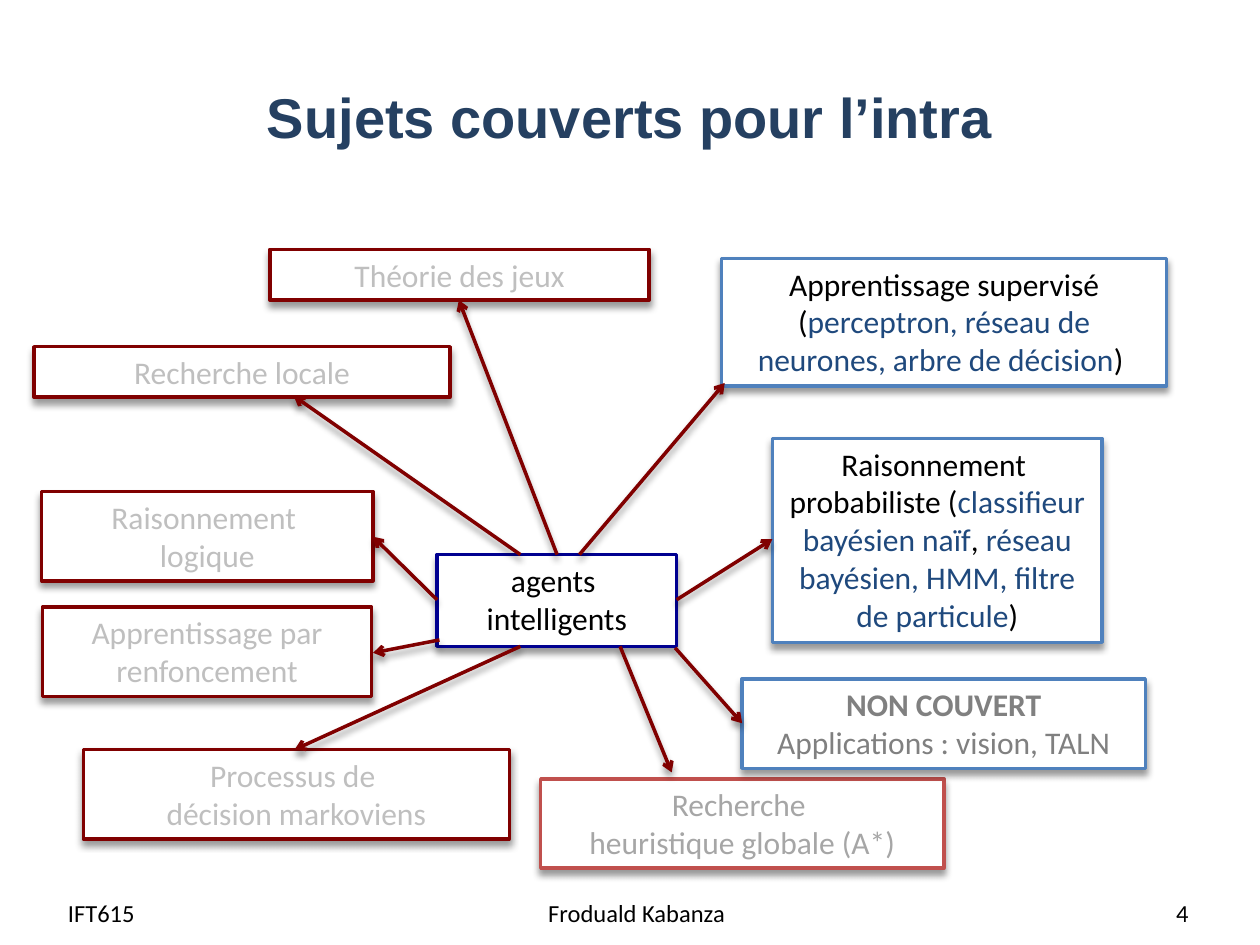
from dataclasses import dataclass

from lxml import etree
from pptx import Presentation
from pptx.dml.color import RGBColor
from pptx.enum.shapes import MSO_CONNECTOR, MSO_SHAPE
from pptx.enum.text import MSO_ANCHOR, MSO_AUTO_SIZE, PP_ALIGN
from pptx.oxml import parse_xml
from pptx.oxml.ns import nsdecls, qn
from pptx.util import Cm, Pt

RECTANGLE = MSO_SHAPE.RECTANGLE
STRAIGHT = MSO_CONNECTOR.STRAIGHT
MIDDLE = MSO_ANCHOR.MIDDLE
FIT_SHAPE = MSO_AUTO_SIZE.SHAPE_TO_FIT_TEXT
LEFT, CENTER, RIGHT = PP_ALIGN.LEFT, PP_ALIGN.CENTER, PP_ALIGN.RIGHT

WHITE = RGBColor(0xFF, 0xFF, 0xFF)
BLACK = RGBColor(0x00, 0x00, 0x00)
TITLE_BLUE = RGBColor(0x25, 0x40, 0x61)
DETAIL_BLUE = RGBColor(0x1F, 0x49, 0x7D)
NAVY = RGBColor(0x00, 0x00, 0x90)
BLUE = RGBColor(0x4F, 0x81, 0xBD)
RED = RGBColor(0xC0, 0x50, 0x4D)
MAROON = RGBColor(0x80, 0x00, 0x00)
LIGHT_GRAY = RGBColor(0xBF, 0xBF, 0xBF)
GRAY = RGBColor(0xA6, 0xA6, 0xA6)
DARK_GRAY = RGBColor(0x80, 0x80, 0x80)

LINE_WIDTH = Pt(2)
SHADOW_XML = (
    f'<a:effectLst {nsdecls("a")}><a:outerShdw blurRad="{Pt(4)}" dist="{Pt(3)}" '
    'dir="5400000" rotWithShape="0"><a:srgbClr val="000000">'
    '<a:alpha val="40000"/></a:srgbClr></a:outerShdw></a:effectLst>'
)


@dataclass(frozen=True)
class Span:
    text: str
    color: RGBColor
    bold: bool = False


@dataclass(frozen=True)
class Label:
    """A one-line text without frame; lengths in centimetres."""
    text: str
    left: float
    top: float
    width: float
    height: float
    align: PP_ALIGN
    size: int = 14
    font: str = "Calibri"
    color: RGBColor = BLACK
    bold: bool = False


@dataclass(frozen=True)
class Topic:
    """A framed subject: each line is one paragraph of spans."""
    left: float
    top: float
    width: float
    height: float
    border: RGBColor
    lines: list[list[Span]]


@dataclass(frozen=True)
class Arrow:
    start: tuple[float, float]
    end: tuple[float, float]


def plain(color: RGBColor, *texts: str) -> list[list[Span]]:
    """One single-colour paragraph per text."""
    return [[Span(text, color)] for text in texts]


LABELS = [
    Label("Sujets couverts pour l’intra", 1.27, 0.76, 22.86, 3.18, CENTER,
          32, "Arial", TITLE_BLUE, True),
    Label("IFT615", 1.12, 17.88, 4.9, 1.02, LEFT),
    Label("Froduald Kabanza", 8.81, 17.88, 8.05, 1.02, CENTER),
    Label("4", 18.29, 17.88, 5.92, 1.02, RIGHT),
]

TOPICS = [
    Topic(8.81, 11.18, 4.83, 1.85, NAVY, plain(BLACK, "agents ", "intelligents")),
    Topic(10.9, 15.7, 8.13, 1.8, RED,
          plain(GRAY, "Recherche ", "heuristique globale (A*)")),
    Topic(5.44, 5.03, 7.65, 1.02, MAROON, plain(LIGHT_GRAY, "Théorie des jeux")),
    Topic(0.69, 6.99, 8.38, 1.02, MAROON, plain(LIGHT_GRAY, "Recherche locale")),
    Topic(15.57, 8.84, 6.65, 4.11, BLUE, [
        [Span("Raisonnement ", BLACK)],
        [Span("probabiliste (", BLACK),
         Span("classifieur bayésien naïf", DETAIL_BLUE),
         Span(", ", BLACK),
         Span("réseau bayésien, HMM, filtre de particule", DETAIL_BLUE),
         Span(")", BLACK)],
    ]),
    Topic(1.68, 15.11, 8.59, 1.8, MAROON,
          plain(LIGHT_GRAY, "Processus de ", "décision markoviens")),
    Topic(0.86, 12.24, 6.63, 1.8, MAROON,
          plain(LIGHT_GRAY, "Apprentissage par renfoncement")),
    Topic(0.84, 9.91, 6.68, 1.8, MAROON,
          plain(LIGHT_GRAY, "Raisonnement ", "logique")),
    Topic(14.55, 5.21, 8.97, 2.57, BLUE, [
        [Span("Apprentissage supervisé (", BLACK),
         Span("perceptron, réseau de neurones, arbre de décision", DETAIL_BLUE),
         Span(") ", BLACK)],
    ]),
    Topic(14.96, 13.69, 8.13, 1.8, BLUE, [
        [Span("NON COUVERT", DARK_GRAY, True)],
        [Span("Applications : vision, TALN", DARK_GRAY)],
    ]),
]

ARROWS = [
    Arrow((11.23, 11.18), (9.25, 6.05)),
    Arrow((10.49, 11.18), (5.92, 7.98)),
    Arrow((12.5, 13.03), (13.54, 15.57)),
    Arrow((13.64, 12.09), (15.57, 10.87)),
    Arrow((10.49, 13.03), (5.94, 15.11)),
    Arrow((8.86, 12.9), (7.52, 13.16)),
    Arrow((8.81, 12.09), (7.52, 10.82)),
    Arrow((11.68, 11.18), (14.61, 7.72)),
    Arrow((13.61, 13.06), (14.96, 14.58)),
]


def style_font(font, name: str, size: int, color: RGBColor, bold: bool) -> None:
    font.name = name
    font.size = Pt(size)
    font.bold = bold
    font.color.rgb = color


def draw_label(page, label: Label) -> None:
    box = page.shapes.add_textbox(Cm(label.left), Cm(label.top),
                                  Cm(label.width), Cm(label.height))
    frame = box.text_frame
    frame.word_wrap = True
    frame.vertical_anchor = MIDDLE
    frame.text = label.text
    para = frame.paragraphs[0]
    para.alignment = label.align
    style_font(para.runs[0].font, label.font, label.size, label.color, label.bold)


def draw_topic(page, topic: Topic) -> None:
    box = page.shapes.add_shape(RECTANGLE, Cm(topic.left), Cm(topic.top),
                                Cm(topic.width), Cm(topic.height))
    box.fill.solid()
    box.fill.fore_color.rgb = WHITE
    box.line.color.rgb = topic.border
    box.line.width = LINE_WIDTH
    box._element.spPr.append(parse_xml(SHADOW_XML))
    frame = box.text_frame
    frame.word_wrap = True
    frame.auto_size = FIT_SHAPE
    frame.vertical_anchor = MSO_ANCHOR.TOP
    frame.text = "\n".join("".join(span.text for span in line) for line in topic.lines)
    for para, line in zip(frame.paragraphs, topic.lines):
        para.alignment = CENTER
        para.text = ""
        for span in line:
            run = para.add_run()
            run.text = span.text
            style_font(run.font, "Calibri", 18, span.color, span.bold)


def draw_arrow(page, arrow: Arrow) -> None:
    points = [Cm(value) for value in (*arrow.start, *arrow.end)]
    connector = page.shapes.add_connector(STRAIGHT, *points)
    connector.line.color.rgb = MAROON
    connector.line.width = LINE_WIDTH
    etree.SubElement(connector.line._get_or_add_ln(), qn("a:tailEnd"), type="arrow")
    connector._element.spPr.append(parse_xml(SHADOW_XML))


def main() -> None:
    deck = Presentation()
    deck.slide_width, deck.slide_height = Cm(25.4), Cm(19.05)
    page = deck.slides.add_slide(deck.slide_layouts[6])
    for label in LABELS:
        draw_label(page, label)
    for topic in TOPICS:
        draw_topic(page, topic)
    for arrow in ARROWS:
        draw_arrow(page, arrow)
    deck.save("out.pptx")


if __name__ == "__main__":
    main()
